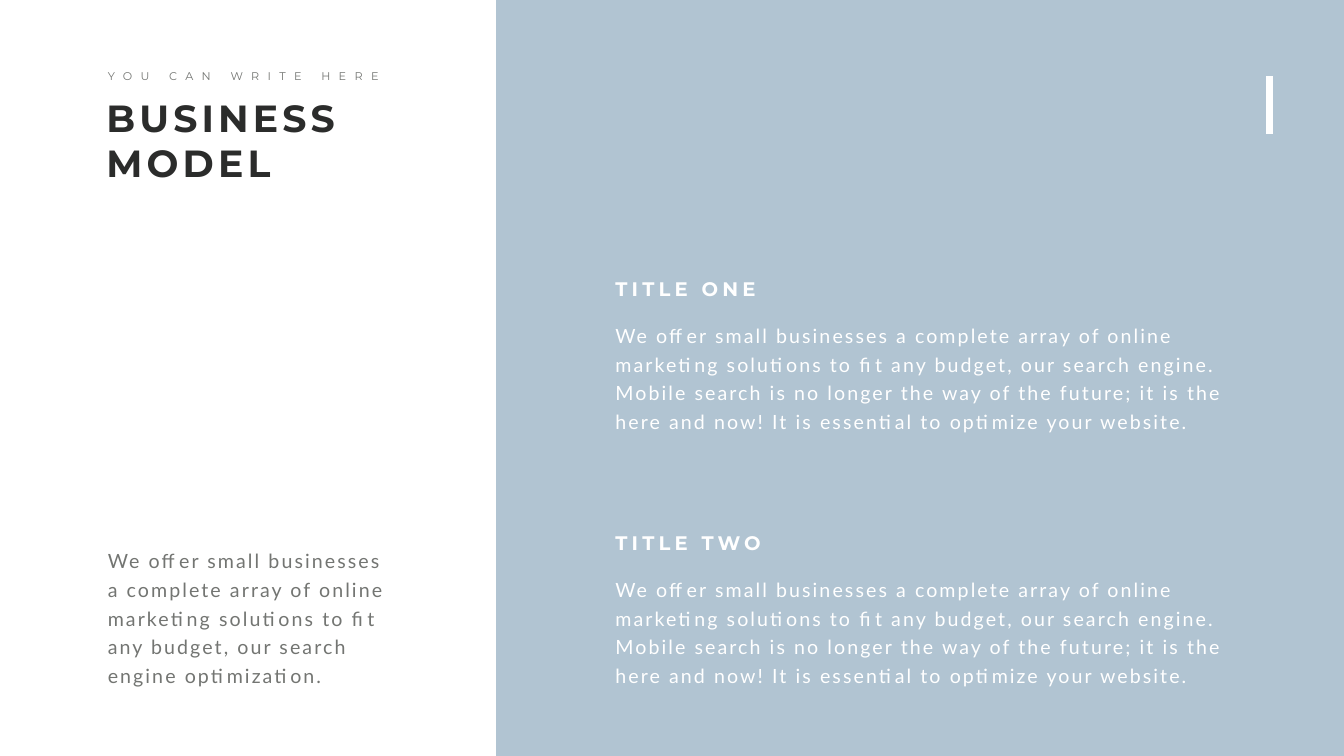
from collections import namedtuple

from lxml.etree import SubElement
from pptx import Presentation
from pptx.dml.color import RGBColor
from pptx.enum.shapes import MSO_CONNECTOR, MSO_SHAPE
from pptx.enum.text import MSO_AUTO_SIZE
from pptx.oxml.ns import qn
from pptx.util import Inches, Pt

WHITE = RGBColor(0xFF, 0xFF, 0xFF)
MIST_BLUE = RGBColor(0xB1, 0xC4, 0xD2)
CHARCOAL = RGBColor(0x2B, 0x2C, 0x2B)
GREY = RGBColor(0x73, 0x75, 0x72)

SLIDE_WIDTH, SLIDE_HEIGHT = Inches(26.66), Inches(15)
COLUMN, ROW = SLIDE_WIDTH / 100, SLIDE_HEIGHT / 100
SIDEBAR_COLUMNS = 36.91
TOPIC_PITCH = 33.6

Box = namedtuple("Box", "left top width height")
Style = namedtuple("Style", "font size color bold tracking leading")

HEADING = Style("Montserrat", 54, CHARCOAL, True, 6, None)
KICKER = Style("Montserrat", 16, GREY, False, 12, None)
SUMMARY = Style("Lato", 28, GREY, False, 3, 40.8)
TOPIC_TITLE = Style("Montserrat", 28, WHITE, True, 6, None)
TOPIC_BODY = SUMMARY._replace(color=WHITE)

OFFER = ("We offer small businesses a complete array of online marketing "
         "solutions to fit any budget, our search engine")
DETAIL = (OFFER + ". Mobile search is no longer the way of the future; it is the "
          "here and now! It is essential to optimize your website.")


def inside(box, left, top, width, height):
    """Return a box offset from the corner of another, in columns and rows."""
    return Box(box.left + left, box.top + top, width, height)


def to_emu(box):
    """Convert a box in columns and rows to slide lengths."""
    return (round(box.left * COLUMN), round(box.top * ROW),
            round(box.width * COLUMN), round(box.height * ROW))


def add_text(slide, box, text, style, wrap=True):
    """Place one styled paragraph in a box."""
    frame = slide.shapes.add_textbox(*to_emu(box)).text_frame
    frame.word_wrap = wrap
    frame.auto_size = MSO_AUTO_SIZE.SHAPE_TO_FIT_TEXT
    frame.text = text
    paragraph = frame.paragraphs[0]
    if style.leading:
        paragraph.line_spacing = Pt(style.leading)
    font = paragraph.runs[0].font
    font.name, font.size, font.bold = style.font, Pt(style.size), style.bold
    font.color.rgb = style.color
    paragraph.runs[0]._r.get_or_add_rPr().set("spc", str(style.tracking * 100))


def add_sidebar(slide, box):
    """Place the heading with its kicker and the summary."""
    add_text(slide, inside(box, 7.54, 12.2, 21.79, 12.8), "BUSINESS MODEL", HEADING)
    add_text(slide, inside(box, 7.65, 8.87, 21.68, 2.47), "YOU CAN WRITE HERE",
             KICKER, wrap=False)
    add_text(slide, inside(box, 7.65, 71.67, 21.68, 19.47),
             OFFER + " optimization.", SUMMARY)


def add_topic(slide, box, title):
    """Place one topic title above its description."""
    add_text(slide, inside(box, 0, 5.6, box.width, 15.6), DETAIL, TOPIC_BODY)
    add_text(slide, inside(box, 0, 0, 21.46, 3.8), title, TOPIC_TITLE)


def add_accent(slide, box):
    """Draw a thick upright bar along the left edge of a box."""
    left, top, _, height = to_emu(box)
    accent = slide.shapes.add_connector(
        MSO_CONNECTOR.STRAIGHT, left, top + height, left, top)
    accent.line.color.rgb = WHITE
    accent.line.width = Pt(10)
    SubElement(accent._element.spPr, qn("a:effectLst"))


def add_topic_panel(slide, box, titles):
    """Fill the panel and stack the topics in it at an equal pitch."""
    panel = slide.shapes.add_shape(MSO_SHAPE.RECTANGLE, *to_emu(box))
    panel.shadow.inherit = False
    panel.fill.solid()
    panel.fill.fore_color.rgb = MIST_BLUE
    panel.line.fill.background()
    for index, title in enumerate(titles):
        top = 36.27 + index * TOPIC_PITCH
        add_topic(slide, inside(box, 8.51, top, 46.1, 21.2), title)
    add_accent(slide, inside(box, 57.58, 10.07, 0, 7.66))


def main():
    """Build and save the business model slide."""
    presentation = Presentation()
    presentation.slide_width, presentation.slide_height = SLIDE_WIDTH, SLIDE_HEIGHT
    slide = presentation.slides.add_slide(presentation.slide_layouts[6])
    slide.background.fill.solid()
    slide.background.fill.fore_color.rgb = WHITE
    add_topic_panel(slide, Box(SIDEBAR_COLUMNS, 0, 100 - SIDEBAR_COLUMNS, 100),
                    ["TITLE ONE", "TITLE TWO"])
    add_sidebar(slide, Box(0, 0, SIDEBAR_COLUMNS, 100))
    presentation.save("out.pptx")


if __name__ == "__main__":
    main()
